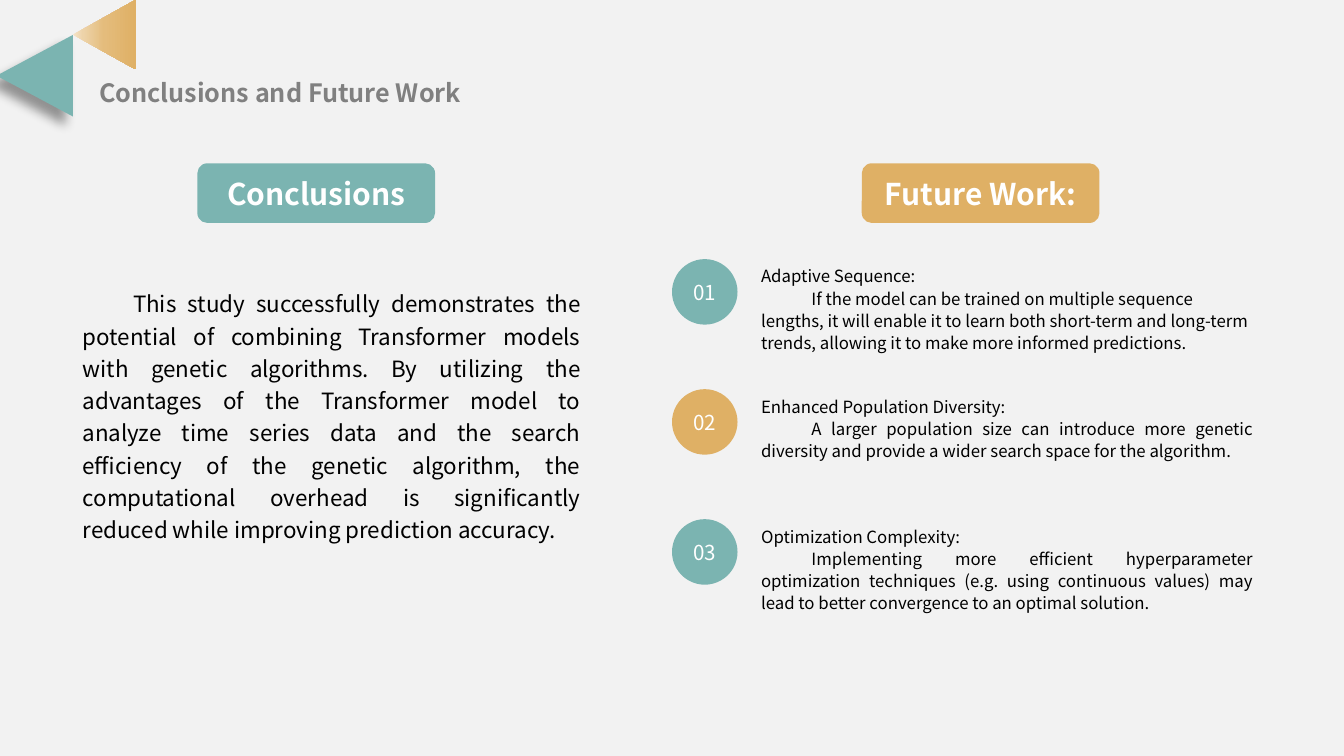
from dataclasses import dataclass

from lxml import etree
from pptx import Presentation
from pptx import util as u
from pptx.dml.color import RGBColor
from pptx.enum import shapes, text
from pptx.oxml.ns import qn
from pptx.shapes.autoshape import Shape
from pptx.slide import Slide
from pptx.text.text import TextFrame

SLIDE_WIDTH = u.Inches(13.333)
SLIDE_HEIGHT = u.Inches(7.5)
GRID_COLUMNS = 160
GRID_ROWS = 90
FONT = "Noto Sans CJK SC"

BACKGROUND = RGBColor(0xF2, 0xF2, 0xF2)
TEAL = RGBColor(0x7B, 0xB4, 0xB1)
GOLD = RGBColor(0xDF, 0xB0, 0x65)
GRAY = RGBColor(0x80, 0x80, 0x80)
BLACK = RGBColor(0x00, 0x00, 0x00)
WHITE = RGBColor(0xFF, 0xFF, 0xFF)
GOLD_FADE = (
    (0, RGBColor(0xF4, 0xE3, 0xC8)),
    (16, RGBColor(0xED, 0xD3, 0xA9)),
    (50, RGBColor(0xE4, 0xBC, 0x7C)),
    (100, GOLD),
)

LEFT = text.PP_ALIGN.LEFT
CENTER = text.PP_ALIGN.CENTER
JUSTIFY = text.PP_ALIGN.JUSTIFY


@dataclass(frozen=True)
class Area:
    column: float
    row: float
    columns: float
    rows: float


@dataclass(frozen=True)
class Style:
    size: float
    color: RGBColor
    bold: bool = False
    align: text.PP_ALIGN = LEFT
    line_spacing: float = 1.0


@dataclass(frozen=True)
class Badge:
    label: str
    column: float
    color: RGBColor


@dataclass(frozen=True)
class FutureItem:
    placeholder: int
    heading: str
    detail: str
    color: RGBColor
    rows: float
    align: text.PP_ALIGN = JUSTIFY


TITLE = "Conclusions and Future Work"
CONCLUSION = (
    "This study successfully demonstrates the potential of combining Transformer models "
    "with genetic algorithms. By utilizing the advantages of the Transformer model to "
    "analyze time series data and the search efficiency of the genetic algorithm, the "
    "computational overhead is significantly reduced while improving prediction accuracy."
)
BADGES = (Badge("Conclusions", 23.5, TEAL), Badge("Future Work:", 102.6, GOLD))
FUTURE_ITEMS = (
    FutureItem(
        2,
        "Adaptive Sequence:",
        "If the model can be trained on multiple sequence lengths, it will enable it to learn "
        "both short-term and long-term trends, allowing it to make more informed predictions.",
        TEAL, 11.8, LEFT,
    ),
    FutureItem(
        3,
        "Enhanced Population Diversity:",
        "A larger population size can introduce more genetic diversity and provide a wider "
        "search space for the algorithm.",
        GOLD, 9.1,
    ),
    FutureItem(
        4,
        "Optimization Complexity:",
        "Implementing more efficient hyperparameter optimization techniques (e.g. using "
        "continuous values) may lead to better convergence to an optimal solution.",
        TEAL, 11.8,
    ),
)
FIRST_ITEM_ROW = 30.85
ITEM_STEP = 15.48


def place(shape: Shape, area: Area) -> None:
    shape.left = round(SLIDE_WIDTH * area.column / GRID_COLUMNS)
    shape.top = round(SLIDE_HEIGHT * area.row / GRID_ROWS)
    shape.width = round(SLIDE_WIDTH * area.columns / GRID_COLUMNS)
    shape.height = round(SLIDE_HEIGHT * area.rows / GRID_ROWS)


def format_text(frame: TextFrame, style: Style) -> None:
    for paragraph in frame.paragraphs:
        paragraph.alignment = style.align
        paragraph.line_spacing = style.line_spacing
        paragraph.space_before = u.Pt(0)
        for run in paragraph.runs:
            run.font.name = FONT
            run.font.size = u.Pt(style.size)
            run.font.bold = style.bold
            run.font.color.rgb = style.color


def add_filled_shape(slide: Slide, kind: shapes.MSO_SHAPE, area: Area, color: RGBColor) -> Shape:
    shape = slide.shapes.add_shape(kind, 0, 0, 0, 0)
    place(shape, area)
    shape.shadow.inherit = False
    shape.fill.solid()
    shape.fill.fore_color.rgb = color
    shape.line.fill.background()
    return shape


def add_label(shape: Shape, label: str, style: Style, wrap: bool) -> None:
    shape.text_frame.text = label
    shape.text_frame.word_wrap = wrap
    shape.text_frame.vertical_anchor = text.MSO_ANCHOR.MIDDLE
    format_text(shape.text_frame, style)


def fill_placeholder(slide: Slide, index: int, area: Area, content: str, style: Style) -> TextFrame:
    placeholder = slide.placeholders[index]
    place(placeholder, area)
    frame = placeholder.text_frame
    frame.text = content
    frame.word_wrap = True
    frame.auto_size = text.MSO_AUTO_SIZE.NONE
    frame.vertical_anchor = text.MSO_ANCHOR.TOP
    format_text(frame, style)
    return frame


def indent_body(frame: TextFrame) -> None:
    for paragraph in frame.paragraphs:
        properties = paragraph._p.get_or_add_pPr()
        properties.set("marL", "0")
        properties.set("indent", "0")
        etree.SubElement(properties, qn("a:buNone"))
    properties.set("indent", str(u.Inches(0.5)))


def add_shadow(shape: Shape) -> None:
    effects = shape._element.spPr.find(qn("a:effectLst"))
    shadow = etree.SubElement(
        effects, qn("a:outerShdw"), blurRad=str(u.Pt(8)), dist=str(u.Pt(8)),
        dir=str(130 * 60000), rotWithShape="0",
    )
    color = etree.SubElement(shadow, qn("a:srgbClr"), val=str(BLACK))
    etree.SubElement(color, qn("a:alpha"), val="40000")


def add_fade(shape: Shape) -> None:
    shape.fill.gradient()
    shape.fill.gradient_angle = 270
    stops = shape._element.spPr.find(qn("a:gradFill")).find(qn("a:gsLst"))
    stops.clear()
    for position, color in GOLD_FADE:
        stop = etree.SubElement(stops, qn("a:gs"), pos=str(position * 1000))
        etree.SubElement(stop, qn("a:srgbClr"), val=str(color))


def main() -> None:
    presentation = Presentation()
    presentation.slide_width = SLIDE_WIDTH
    presentation.slide_height = SLIDE_HEIGHT
    slide = presentation.slides.add_slide(presentation.slide_layouts.get_by_name("Comparison"))
    slide.background.fill.solid()
    slide.background.fill.fore_color.rgb = BACKGROUND

    triangle = shapes.MSO_SHAPE.ISOSCELES_TRIANGLE
    teal_triangle = add_filled_shape(slide, triangle, Area(-0.72, 4.46, 9.72, 9.1), TEAL)
    gold_triangle = add_filled_shape(slide, triangle, Area(8.28, 0.4, 8.28, 7.45), GOLD)
    teal_triangle.rotation = gold_triangle.rotation = 270
    add_shadow(teal_triangle)
    add_fade(gold_triangle)

    title = fill_placeholder(slide, 0, Area(10, 8.64, 52, 4.8), TITLE, Style(18, GRAY, bold=True))
    title.margin_left = u.Inches(0.15)

    for badge in BADGES:
        area = Area(badge.column, 19.44, 28.3, 7.1)
        shape = add_filled_shape(slide, shapes.MSO_SHAPE.ROUNDED_RECTANGLE, area, badge.color)
        add_label(shape, badge.label, Style(21.4, WHITE, True, CENTER), wrap=False)

    conclusion_style = Style(16, BLACK, align=JUSTIFY, line_spacing=1.2)
    indent_body(fill_placeholder(slide, 1, Area(8.64, 33.36, 61.7, 40.3), CONCLUSION, conclusion_style))

    for number, item in enumerate(FUTURE_ITEMS):
        row = FIRST_ITEM_ROW + number * ITEM_STEP
        circle = add_filled_shape(slide, shapes.MSO_SHAPE.OVAL, Area(80, row, 7.8, 7.8), item.color)
        add_label(circle, f"{number + 1:02}", Style(14.7, WHITE, align=CENTER), wrap=True)
        style = Style(12, BLACK, align=item.align, line_spacing=1.1)
        content = f"{item.heading}\n{item.detail}"
        indent_body(fill_placeholder(slide, item.placeholder, Area(89.4, row, 61, item.rows), content, style))

    presentation.save("out.pptx")


if __name__ == "__main__":
    main()
